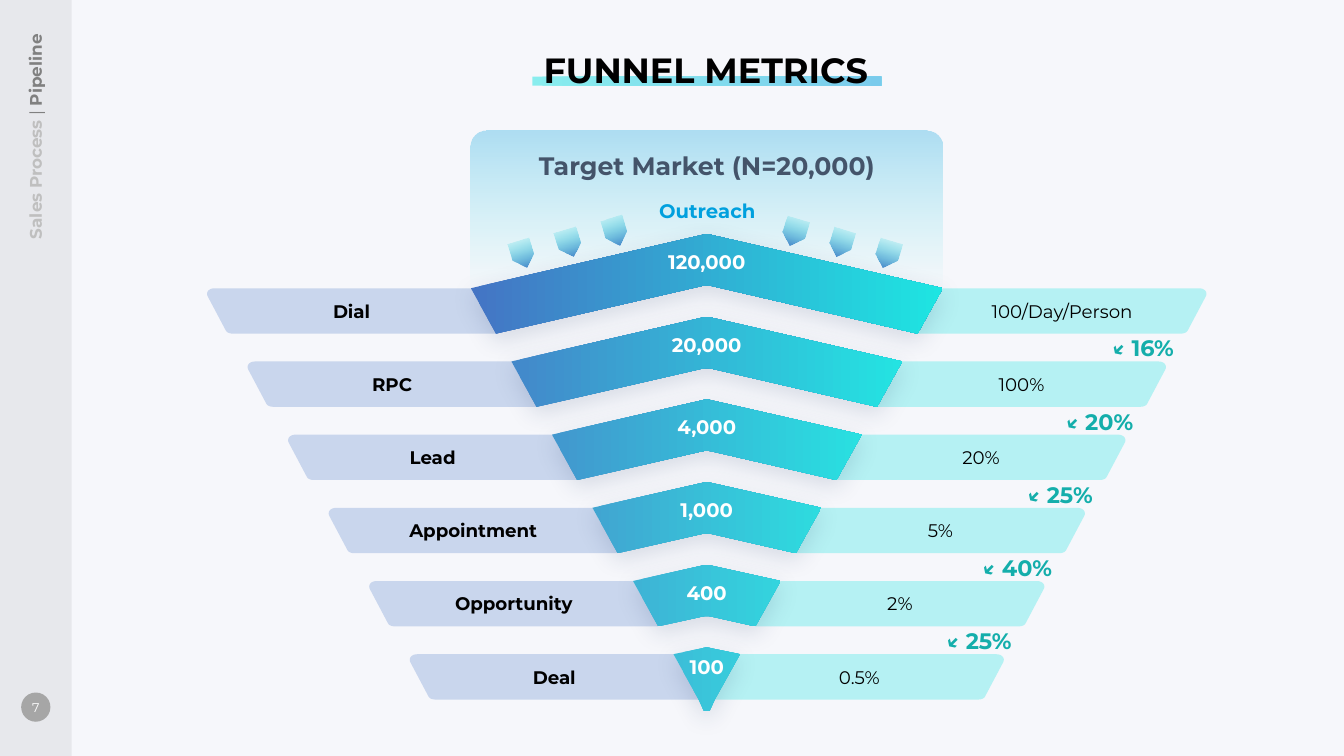
"""Build the funnel metrics slide."""
from dataclasses import dataclass

import pptx
import pptx.dml.color
import pptx.enum.shapes
import pptx.enum.text
import pptx.oxml.ns
import pptx.util
from lxml import etree
from pptx.util import Inches

ALIGN = pptx.enum.text.PP_ALIGN
ANCHOR = pptx.enum.text.MSO_ANCHOR
PRESET = pptx.enum.shapes.MSO_SHAPE
qn = pptx.oxml.ns.qn


@dataclass(frozen=True)
class Theme:
    """Colours, font and type sizes of the slide."""
    font: str = "Montserrat"
    background: str = "F6F7FB"
    band: str = "404040"
    page: str = "A6A6A6"
    black: str = "000000"
    white: str = "FFFFFF"
    muted: str = "BFBFBF"
    current: str = "808080"
    heading: str = "44546A"
    sky: str = "00A0DE"
    aqua: str = "1DE5E2"
    blue: str = "4472C4"
    stage_panel: str = "C9D6ED"
    metric_panel: str = "B5F1F3"
    rate: str = "14AEAB"
    shadow: str = "203864"
    title_size: int = 25
    heading_size: int = 18
    rate_size: int = 16
    value_size: int = 14
    label_size: int = 13
    path_size: int = 12
    page_size: int = 9


THEME = Theme()
CENTER = 7.01
TOP_HALF = 2.34
ROW_TOP = 2.86
ROW_HEIGHT = 0.45
ROW_PITCH = 3.63 / 5
ROW_INSET = 2.01 / 5
APEX_PITCH = 0.82
SLANT = 0.25

STAGES = [
    ("Dial", "120,000", "100/Day/Person", 0.98, "4474C4", "1EE5E2"),
    ("RPC", "20,000", "100%", 0.9, "4388CA", "24E3E2"),
    ("Lead", "4,000", "20%", 0.79, "4297CE", "29E0E1"),
    ("Appointment", "1,000", "5%", 0.73, "41A5D1", "2EDBDF"),
    ("Opportunity", "400", "2%", 0.74, "3EB3D5", "33D4DE"),
    ("Deal", "100", "0.5%", 0.67, "3CBED8", "37CCDC"),
]
RATES = [("16%", 0.85), ("20%", 0.9), ("25%", 0.89), ("40%", 0.93), ("25%", 0.89)]


def write(frame, text, *, size, color, bold=False, align=ALIGN.CENTER):
    """Add a formatted run to the first paragraph of a text frame."""
    paragraph = frame.paragraphs[0]
    paragraph.alignment = align
    run = paragraph.add_run()
    run.text = text
    run.font.name = THEME.font
    run.font.size = pptx.util.Pt(size)
    run.font.bold = bold
    run.font.color.rgb = pptx.dml.color.RGBColor.from_string(color)


def paint(shape, *stops, angle=0):
    """Fill a shape with one (colour, opacity) stop or a gradient of two."""
    shape.shadow.inherit = False
    shape.line.fill.background()
    if len(stops) == 1:
        shape.fill.solid()
        targets = [shape.fill.fore_color]
    else:
        shape.fill.gradient()
        shape.fill.gradient_angle = angle
        targets = [stop.color for stop in shape.fill.gradient_stops]
    for target, (color, _) in zip(targets, stops):
        target.rgb = pptx.dml.color.RGBColor.from_string(color)
    painted = list(shape.element.spPr.iter(qn("a:srgbClr")))
    for node, (_, opacity) in zip(painted, stops):
        if opacity < 100:
            etree.SubElement(node, qn("a:alpha"), val=str(opacity * 1000))


def cast_shadow(shape):
    """Give a shape a soft shadow below it."""
    effects = shape.element.spPr.find(qn("a:effectLst"))
    outer = etree.SubElement(effects, qn("a:outerShdw"), blurRad=str(pptx.util.Pt(17)),
                             dist=str(pptx.util.Pt(5)), dir="5400000",
                             algn="t", rotWithShape="0")
    color = etree.SubElement(outer, qn("a:srgbClr"), val=THEME.shadow)
    etree.SubElement(color, qn("a:alpha"), val="15000")


def add_preset(slide, preset, box, *stops, angle=0):
    """Add a painted preset shape at a box in inches."""
    shape = slide.shapes.add_shape(preset, *map(Inches, box))
    paint(shape, *stops, angle=angle)
    return shape


def add_outline(slide, points, *stops):
    """Add a painted closed outline through points in inches."""
    corners = [(Inches(x), Inches(y)) for x, y in points]
    builder = slide.shapes.build_freeform(*corners[0])
    builder.add_line_segments(corners[1:], close=True)
    shape = builder.convert_to_shape()
    paint(shape, *stops)
    return shape


def add_label(slide, box, text, *, wrap=False, **style):
    """Add a text box holding one formatted run."""
    label = slide.shapes.add_textbox(*map(Inches, box))
    frame = label.text_frame
    frame.word_wrap = wrap
    if not wrap:
        frame.auto_size = pptx.enum.text.MSO_AUTO_SIZE.SHAPE_TO_FIT_TEXT
    write(frame, text, **style)
    return label


def curve(start, pull_start, pull_end, end, steps=8):
    """Return points along a cubic curve."""
    weights = [((1 - t) ** 3, 3 * t * (1 - t) ** 2, 3 * t * t * (1 - t), t ** 3)
               for t in (step / steps for step in range(steps + 1))]
    knots = (start, pull_start, pull_end, end)
    return [tuple(sum(w * knot[axis] for w, knot in zip(row, knots)) for axis in (0, 1))
            for row in weights]


def add_panel(slide, row, side, text, color, bold):
    """Add the rounded side panel of a row, left (-1) or right (1)."""
    tip = TOP_HALF - row * ROW_INSET + 2.62
    top = ROW_TOP + row * ROW_PITCH
    offsets = [(2.62, 0), (2.87, ROW_HEIGHT)]
    offsets += curve((0.26, 0.45), (0.23, 0.45), (0.2, 0.44), (0.19, 0.42))
    offsets += curve((0.01, 0.08), (-0.01, 0.04), (0.02, 0), (0.08, 0))
    points = [(CENTER + side * (tip - x), top + y) for x, y in offsets]
    panel = add_outline(slide, points, (color, 100))
    panel.text_frame.vertical_anchor = ANCHOR.MIDDLE
    write(panel.text_frame, text, size=THEME.label_size, color=THEME.black, bold=bold)


def add_chevron(slide, row, start, end):
    """Add the gradient chevron of a row, pointed at the foot for the last."""
    half = TOP_HALF - row * ROW_INSET
    top = ROW_TOP + row * ROW_PITCH
    apex = 2.32 + row * APEX_PITCH
    peak = curve((-0.04, apex + 0.01), (-0.01, apex), (0.01, apex), (0.04, apex + 0.01))
    notch = apex + 0.51
    foot = curve((0.06, notch + 0.01), (0.02, notch), (-0.02, notch), (-0.06, notch + 0.01))
    if row == len(STAGES) - 1:
        foot = curve((0.03, 7.05), (0.01, 7.06), (-0.01, 7.06), (-0.03, 7.05))
    low = top + ROW_HEIGHT
    offsets = [(-half, top), *peak, (half, top), (half - SLANT, low),
               *foot, (SLANT - half, low)]
    points = [(CENTER + x, y) for x, y in offsets]
    cast_shadow(add_outline(slide, points, (start, 100), (end, 100)))


def add_target_market(slide):
    """Add the fading box that feeds the funnel."""
    market = add_preset(slide, PRESET.ROUND_2_SAME_RECTANGLE, (4.67, 1.3, 4.68, 1.57),
                        (THEME.sky, 30), (THEME.aqua, 0), angle=270)
    market.adjustments[0] = 0.1
    frame = market.text_frame
    frame.margin_top = Inches(0.15)
    frame.vertical_anchor = ANCHOR.TOP
    frame.paragraphs[0].space_after = pptx.util.Pt(12)
    write(frame, "Target Market (N=20,000)", size=THEME.heading_size,
          color=THEME.heading, bold=True)


def add_darts(slide):
    """Add the outreach darts pointing into the funnel from both sides."""
    for first, step, turn in ((5.04, 0.46, 72.4), (8.66, -0.46, 107.6)):
        for index in range(3):
            box = (first + index * step, 2.41 - index * 0.11, 0.28, 0.22)
            dart = add_preset(slide, PRESET.PENTAGON, box, (THEME.aqua, 0), (THEME.blue, 100))
            dart.rotation = turn


def add_sidebar(slide):
    """Add the side band with page number and section path."""
    add_preset(slide, PRESET.RECTANGLE, (0, 0, 0.71, 7.5), (THEME.band, 8))
    page = add_preset(slide, PRESET.OVAL, (0.21, 6.87, 0.29, 0.29), (THEME.page, 100))
    page.text_frame.margin_left = page.text_frame.margin_right = 0
    page.text_frame.word_wrap = False
    write(page.text_frame, "7", size=THEME.page_size, color=THEME.white)
    style = dict(size=THEME.path_size, align=ALIGN.RIGHT)
    section = add_label(slide, (-0.85, 1.29, 2.4, 0.3), "Sales Process ", wrap=True,
                        color=THEME.muted, bold=True, **style)
    write(section.text_frame, "| ", color=THEME.current, **style)
    write(section.text_frame, "Pipeline", color=THEME.current, bold=True, **style)
    section.rotation = 270


def add_title(slide):
    """Place the title above its underline."""
    add_preset(slide, PRESET.RECTANGLE, (5.28, 0.76, 3.46, 0.09),
               (THEME.aqua, 50), (THEME.sky, 50))
    title = slide.shapes.title
    title.left, title.top, title.width, title.height = map(Inches, (5.27, 0.43, 3.46, 0.52))
    frame = title.text_frame
    frame.word_wrap = False
    frame.auto_size = pptx.enum.text.MSO_AUTO_SIZE.SHAPE_TO_FIT_TEXT
    frame.vertical_anchor = ANCHOR.TOP
    write(frame, "FUNNEL METRICS", size=THEME.title_size, color=THEME.black, bold=True)
    slide.shapes.element.append(title.element)


def main():
    """Build and save the slide."""
    deck = pptx.Presentation()
    deck.slide_width, deck.slide_height = Inches(13.33), Inches(7.5)
    slide = deck.slides.add_slide(deck.slide_layouts[5])
    slide.background.fill.solid()
    slide.background.fill.fore_color.rgb = pptx.dml.color.RGBColor.from_string(THEME.background)
    add_sidebar(slide)
    for row, (stage, _, metric, *_) in enumerate(STAGES):
        add_panel(slide, row, -1, stage, THEME.stage_panel, True)
        add_panel(slide, row, 1, metric, THEME.metric_panel, False)
    add_target_market(slide)
    for row, (_, value, _, width, start, end) in enumerate(STAGES):
        add_chevron(slide, row, start, end)
        top = min(2.43 + row * APEX_PITCH, 6.45)
        add_label(slide, (CENTER - width / 2, top, width, 0.34), value,
                  size=THEME.value_size, color=THEME.white, bold=True)
    for row, (rate, width) in enumerate(RATES):
        box = (11.74 - row * ROW_INSET - width, 3.27 + row * ROW_PITCH, width, 0.37)
        add_label(slide, box, f"↙ {rate}", size=THEME.rate_size, color=THEME.rate,
                  bold=True, align=ALIGN.RIGHT)
    add_darts(slide)
    add_label(slide, (6.43, 1.92, 1.17, 0.34), "Outreach", size=THEME.value_size,
              color=THEME.sky, bold=True)
    add_title(slide)
    deck.save("out.pptx")


if __name__ == "__main__":
    main()
